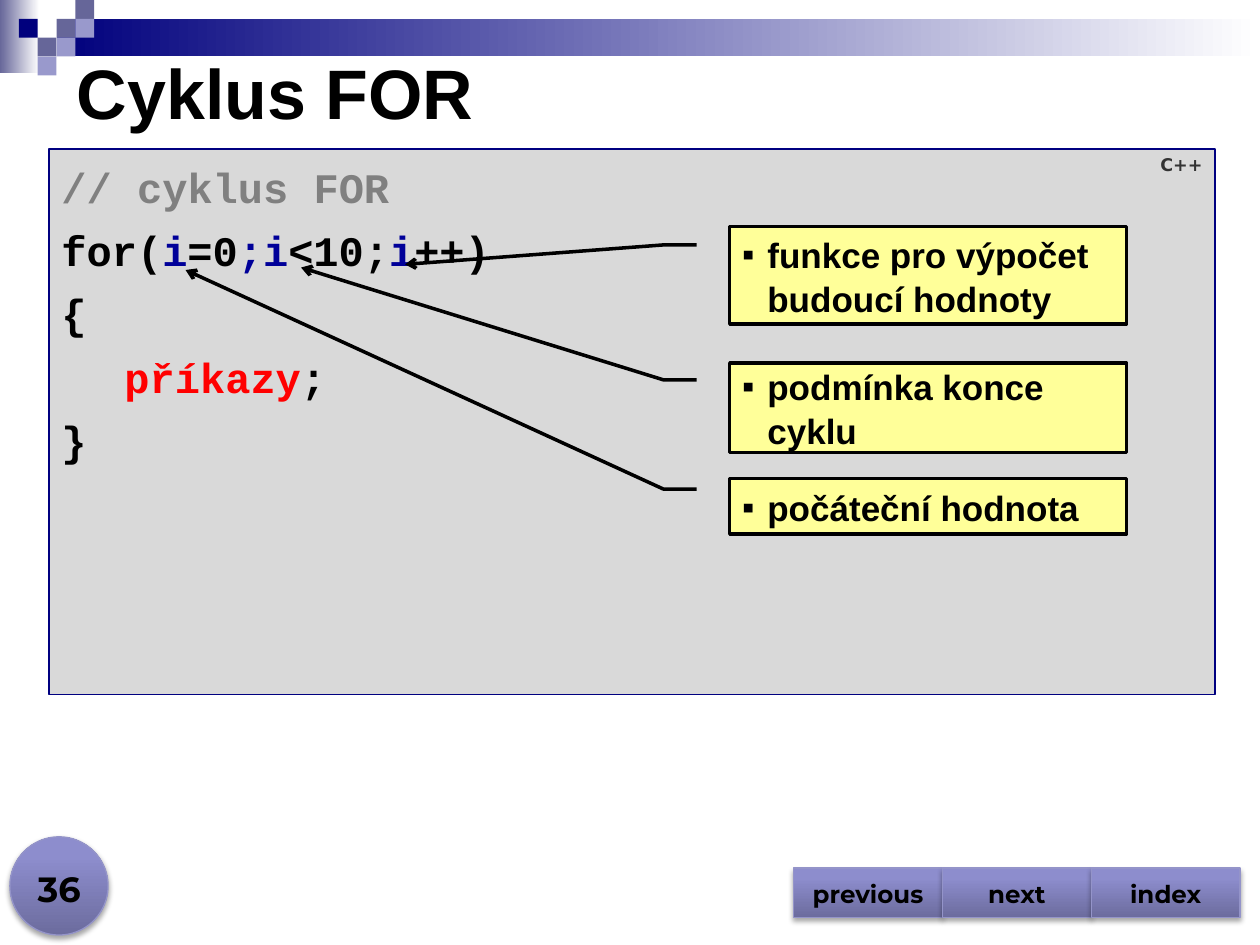
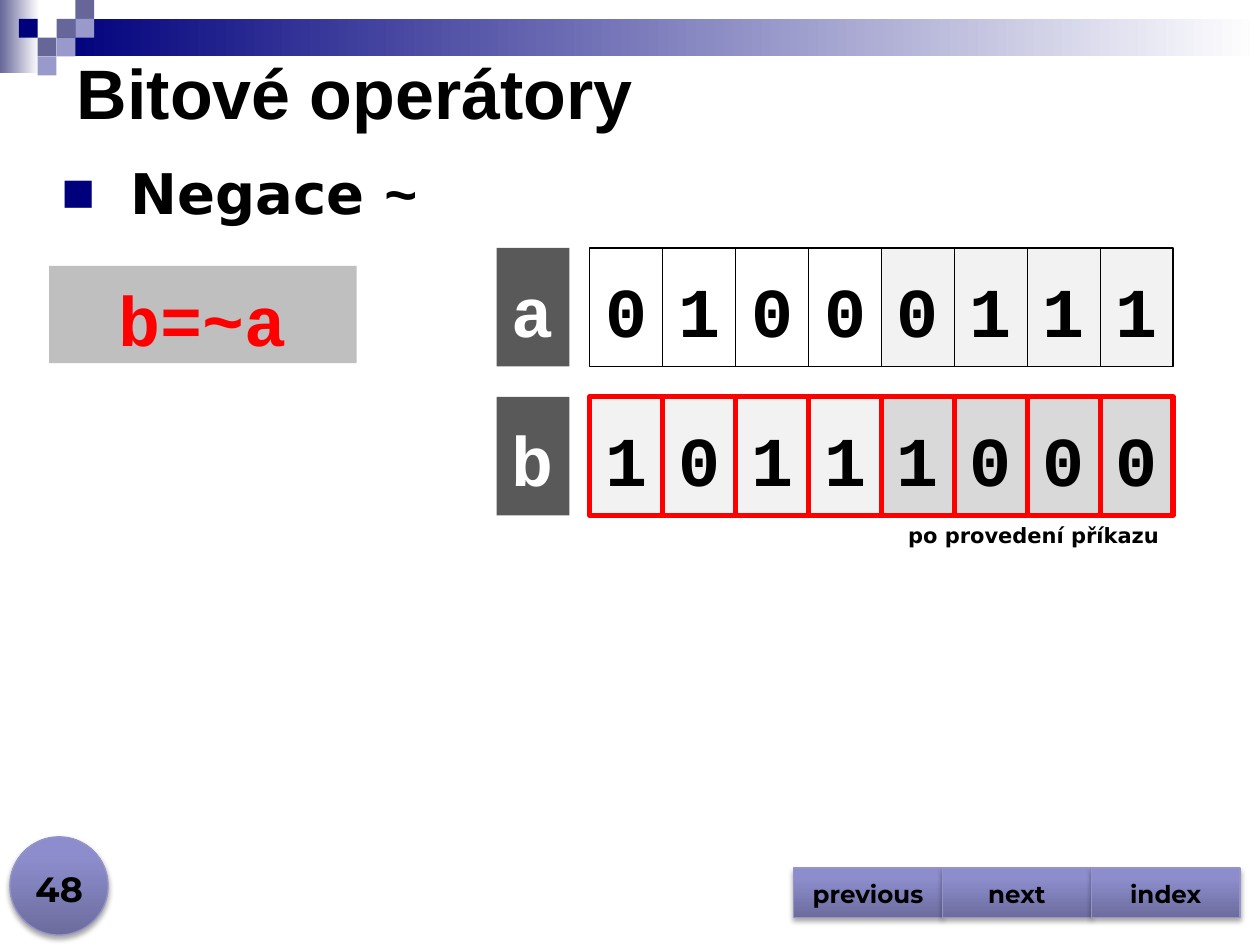
from lxml import etree
from pptx import Presentation
from pptx import util as u
from pptx.dml.color import RGBColor
from pptx.enum import shapes, text
from pptx.oxml.ns import qn

Cm, Pt = u.Cm, u.Pt
KIND = shapes.MSO_SHAPE
ALIGN = text.PP_ALIGN
ANCHOR = text.MSO_ANCHOR

COLOURS = {
    "black": "000000", "white": "FFFFFF", "red": "FF0000",
    "navy": "00007D", "frame": "000080", "variable": "000099",
    "slate": "666699", "lavender": "9999CC", "edge": "9494C9",
    "button_dark": "6C6C9E", "button_mid": "8D8DCD", "button_light": "8C8CCF",
    "pale": "F2F2F2", "code": "D9D9D9", "formula": "BFBFBF",
    "comment": "808080", "label": "595959", "language": "333333",
    "note": "FFFF99",
}
SANS, MONO, WIDE, NAV = "Arial", "Courier New", "DejaVu Sans", "Montserrat"
FADE_SLATE = [(0, "slate"), (100, "white")]
FADE_NAVY = [(0, "navy"), (100, "white")]
BUTTON = [(0, "button_dark"), (80, "button_mid"), (100, "button_light")]
SQUARE = 0.38
MOSAIC = [(3, 1, "slate"), (4, 0, "slate"), (4, 1, "lavender"), (2, 2, "slate"),
          (1, 1, "navy"), (3, 2, "lavender"), (2, 3, "lavender")]


def rgb(name):
    return RGBColor.from_string(COLOURS[name])


def sub(parent, tag, **attributes):
    """Append a DrawingML child element."""
    return etree.SubElement(parent, qn(tag), {k: str(v) for k, v in attributes.items()})


class Deck:
    def __init__(self):
        self.prs = Presentation()
        self.prs.slide_width, self.prs.slide_height = Cm(25.4), Cm(19.05)
        self.slide = None

    def new_slide(self):
        self.slide = self.prs.slides.add_slide(self.prs.slide_layouts[6])
        self.shape((0, 0, 0.79, 1.47), FADE_SLATE)
        self.shape((1.14, SQUARE, 24.26, 2 * SQUARE), FADE_NAVY)
        for column, row, colour in MOSAIC:
            self.shape((column * SQUARE, row * SQUARE, SQUARE, SQUARE), colour)

    def shape(self, place, fill, line=None, width=0.75, kind=KIND.RECTANGLE):
        """Add a preset shape; fill is a colour name or a list of gradient stops."""
        shape = self.slide.shapes.add_shape(kind, *map(Cm, place))
        shape.shadow.inherit = False
        if isinstance(fill, str):
            shape.fill.solid()
            shape.fill.fore_color.rgb = rgb(fill)
        else:
            self.gradient(shape, fill, 270 if fill is BUTTON else 0)
        if line:
            shape.line.color.rgb = rgb(line)
            shape.line.width = Pt(width)
        else:
            shape.line.fill.background()
        return shape

    def gradient(self, shape, stops, angle):
        shape.fill.gradient()
        grad = shape._element.spPr.find(qn("a:gradFill"))
        for child in list(grad):
            grad.remove(child)
        stop_list = sub(grad, "a:gsLst")
        for position, colour in stops:
            stop = sub(stop_list, "a:gs", pos=position * 1000)
            sub(stop, "a:srgbClr", val=COLOURS[colour])
        sub(grad, "a:lin", ang=angle * 60000, scaled=0)

    def raised(self, place, kind):
        """Add a violet button with a soft shadow below it."""
        shape = self.shape(place, BUTTON, "edge", kind=kind)
        effects = shape._element.spPr.find(qn("a:effectLst"))
        shadow = sub(effects, "a:outerShdw", blurRad=Pt(3.1), dist=Pt(1.8),
                     dir=90 * 60000, rotWithShape=0)
        sub(sub(shadow, "a:srgbClr", val=COLOURS["black"]), "a:alpha", val=35000)
        return shape

    def text_box(self, place):
        return self.slide.shapes.add_textbox(*map(Cm, place))

    def frame(self, shape, anchor=ANCHOR.MIDDLE, wrap=True):
        frame = shape.text_frame
        frame.word_wrap = wrap
        frame.vertical_anchor = anchor
        frame.margin_left = frame.margin_right = Cm(0.25)
        frame.margin_top = frame.margin_bottom = Cm(0.13)
        return frame

    def paragraph(self, frame, runs, size, font, align=ALIGN.LEFT, margin=0, hanging=0,
                  bullet=None, bullet_colour="black", after=0, spacing=1.05):
        """Fill the empty first paragraph or add one; runs are (words, colour[, font])."""
        first = frame.paragraphs[0]
        para = frame.add_paragraph() if first.runs else first
        props = para._p.get_or_add_pPr()
        if hanging:
            props.set("marL", str(Cm(margin)))
            props.set("indent", str(-Cm(hanging)))
        if bullet:
            sub(sub(props, "a:buClr"), "a:srgbClr", val=COLOURS[bullet_colour])
            sub(props, "a:buFont", typeface=SANS)
            sub(props, "a:buChar", char=bullet)
        para.alignment = align
        para.line_spacing = spacing
        para.space_after = Pt(after)
        for words, colour, *own_font in runs:
            run = para.add_run()
            run.text = words
            run.font.name = own_font[0] if own_font else font
            run.font.size = Pt(size)
            run.font.bold = True
            run.font.color.rgb = rgb(colour)

    def title(self, words):
        frame = self.frame(self.text_box((1.3, 0.79, 23.29, 2.01)))
        self.paragraph(frame, [(words, "black")], 40, SANS)

    def navigation(self, number):
        self.raised((0.2, 16.87, 1.98, 1.98), KIND.OVAL)
        frame = self.frame(self.text_box((0, 17.2, 2.39, 1.27)), ANCHOR.BOTTOM)
        self.paragraph(frame, [(number, "black")], 20, NAV, ALIGN.CENTER)
        for place, target in enumerate(("previous", "next", "index")):
            button = self.raised((16 + 3 * place, 17.5, 3, 0.99), KIND.ACTION_BUTTON_CUSTOM)
            self.paragraph(self.frame(button), [(target, "black")], 14, NAV, ALIGN.CENTER)

    def code(self, place, lines, language):
        """Add a code panel; lines are (left margin, runs)."""
        frame = self.frame(self.shape(place, "code", "frame", 1), ANCHOR.TOP)
        frame.margin_top = Cm(0.2)
        for margin, runs in lines:
            self.paragraph(frame, runs, 24, MONO, margin=margin, hanging=1.37, after=6)
        left, top, width, _ = place
        corner = self.frame(self.text_box((left + width - 2.2, top + 0.02, 2.2, 0.61)), ANCHOR.TOP)
        self.paragraph(corner, [(language, "language")], 10, WIDE, ALIGN.RIGHT, spacing=0.9)

    def callout(self, top, height, words, target):
        """Add a note whose arrow ends at target (y, x), in parts of the note's size."""
        note = self.shape((14.71, top, 8, height), "note", "black", 2, KIND.LINE_CALLOUT_2)
        for index, value in enumerate((0.188, -0.083, 0.188, -0.167, *target)):
            note.adjustments[index] = value
        sub(note.line._get_or_add_ln(), "a:tailEnd", type="arrow")
        self.paragraph(self.frame(note), [(words, "black")], 20, SANS,
                       margin=0.51, hanging=0.51, bullet="▪", after=6)

    def cell(self, left, top, symbol, fill, colour="black", line=None, width=0.75):
        cell = self.shape((left, top, 1.47, 2.39), fill, line, width)
        self.paragraph(self.frame(cell, wrap=False), [(symbol, colour)], 40, MONO, ALIGN.CENTER)

    def byte(self, top, name, bits, fills, line, width):
        """Add a row of bits, its high and low halves in two fills, with its name."""
        for place, bit in enumerate(bits):
            self.cell(11.89 + 1.47 * place, top, bit, fills[place // 4], line=line, width=width)
        self.cell(10.01, top, name, "label", "white")


def for_loop(deck):
    deck.new_slide()
    deck.code((0.99, 3, 23.5, 11), [
        (1.37, [("// cyklus FOR", "comment")]),
        (1.37, [("for(", "black"), ("i", "variable"), ("=0", "black"), (";i", "variable"),
                ("<10;", "black"), ("i", "variable"), ("++)", "black")]),
        (1.37, [("{", "black")]),
        (2.64, [("příkazy", "red"), (";", "black")]),
        (1.37, [("}", "black")]),
    ], "C++")
    deck.callout(4.57, 1.96, "funkce pro výpočet budoucí hodnoty", (0.388, -0.818))
    deck.callout(7.32, 1.8, "podmínka konce cyklu", (-1.07, -1.08))
    deck.callout(9.65, 1.12, "počáteční hodnota", (-3.756, -1.371))
    deck.title("Cyklus FOR")
    deck.navigation("36")


def bitwise_operators(deck):
    deck.new_slide()
    heading = deck.frame(deck.text_box((0.99, 3, 24.41, 1.63)), ANCHOR.TOP)
    deck.paragraph(heading, [("Negace ", "black"), ("~", "black", MONO)], 32, WIDE,
                   margin=1.4, hanging=1.4, bullet="■", bullet_colour="navy", after=18)
    formula = deck.frame(deck.shape((0.99, 5.36, 6.2, 1.96), "formula"), ANCHOR.TOP)
    deck.paragraph(formula, [("b=~a", "red")], 40, MONO, ALIGN.CENTER)
    deck.byte(5, "a", "01000111", ("white", "pale"), "black", 0.75)
    deck.byte(8, "b", "10111000", ("pale", "code"), "red", 3)
    deck.title("Bitové operátory")
    remark = deck.frame(deck.text_box((18.03, 10.39, 5.59, 0.76)), wrap=False)
    deck.paragraph(remark, [("po provedení příkazu", "black")], 12, WIDE, ALIGN.RIGHT)
    deck.navigation("48")


def main():
    deck = Deck()
    for_loop(deck)
    bitwise_operators(deck)
    deck.prs.save("out.pptx")


if __name__ == "__main__":
    main()
